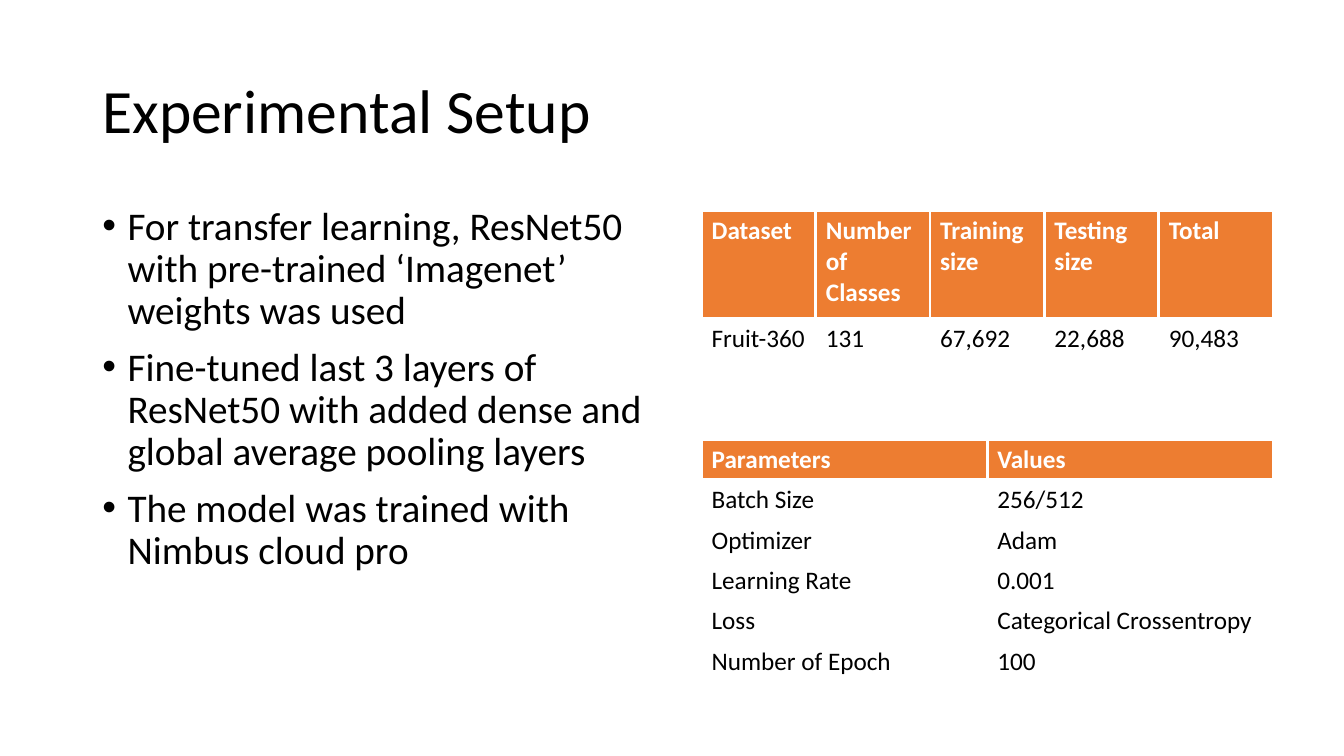
from lxml.etree import SubElement
from pptx import Presentation
from pptx.dml.color import RGBColor
from pptx.enum.text import MSO_ANCHOR
from pptx.oxml.ns import qn
from pptx.util import Cm, Pt

# Content
TITLE = "Experimental Setup"
BULLETS = [
    "For transfer learning, ResNet50 with pre-trained ‘Imagenet’ weights was used",
    "Fine-tuned last 3 layers of ResNet50 with added dense and global average pooling layers",
    "The model was trained with Nimbus cloud pro",
]
DATASET_ROWS = [
    ("Dataset", "Number of Classes", "Training size", "Testing size", "Total"),
    ("Fruit-360", "131", "67,692", "22,688", "90,483"),
]
PARAMETER_ROWS = [
    ("Parameters", "Values"),
    ("Batch Size", "256/512"),
    ("Optimizer", "Adam"),
    ("Learning Rate", "0.001"),
    ("Loss", "Categorical Crossentropy"),
    ("Number of Epoch", "100"),
]

# Style
FONT = "Calibri"
BLACK = RGBColor(0, 0, 0)
WHITE = RGBColor(255, 255, 255)
ORANGE = RGBColor(0xED, 0x7D, 0x31)
TABLE_LEFT, TABLE_WIDTH = 17.68, 14.4
INDENT = Cm(0.635)


def style_font(para, size, color=BLACK, bold=False):
    font = para.font
    font.name, font.size, font.bold = FONT, Pt(size), bold
    font.color.rgb = color


def add_text(slide, lines, left, top, width, height, size):
    frame = slide.shapes.add_textbox(Cm(left), Cm(top), Cm(width), Cm(height)).text_frame
    frame.word_wrap = True
    frame.text = "\n".join(lines)
    for para in frame.paragraphs:
        para.line_spacing = 0.9
        style_font(para, size)
    return frame


def add_bullet(para):
    para.space_before = Pt(10)
    properties = para._p.get_or_add_pPr()
    properties.set("marL", str(INDENT))
    properties.set("indent", str(-INDENT))
    SubElement(properties, qn("a:buFont")).set("typeface", "Arial")
    SubElement(properties, qn("a:buChar")).set("char", "•")
    # The default run font must follow the bullet
    properties.append(properties.find(qn("a:defRPr")))


def add_borders(cell):
    properties = cell._tc.get_or_add_tcPr()
    for index, side in enumerate(("lnL", "lnR", "lnT", "lnB")):
        line = properties.makeelement(qn(f"a:{side}"), {"w": str(Pt(2.25))})
        fill = SubElement(line, qn("a:solidFill"))
        SubElement(fill, qn("a:srgbClr")).set("val", str(WHITE))
        properties.insert(index, line)


def add_grid(slide, rows, top, row_heights):
    columns = len(rows[0])
    table = slide.shapes.add_table(
        len(rows), columns, Cm(TABLE_LEFT), Cm(top), Cm(TABLE_WIDTH), Cm(sum(row_heights))
    ).table
    table.horz_banding = False
    for column in table.columns:
        column.width = Cm(TABLE_WIDTH / columns)
    for row_index, (values, height) in enumerate(zip(rows, row_heights)):
        table.rows[row_index].height = Cm(height)
        header = row_index == 0
        for column_index, value in enumerate(values):
            cell = table.cell(row_index, column_index)
            cell.text = value
            style_font(cell.text_frame.paragraphs[0], 18, WHITE if header else BLACK, header)
            cell.fill.solid()
            cell.fill.fore_color.rgb = ORANGE if header else WHITE
            add_borders(cell)


def main():
    deck = Presentation()
    deck.slide_width, deck.slide_height = Cm(33.87), Cm(19.05)
    slide = deck.slides.add_slide(deck.slide_layouts[6])

    # Title and bullets
    title = add_text(slide, [TITLE], 2.33, 1.01, 29.21, 3.68, 44)
    title.vertical_anchor = MSO_ANCHOR.MIDDLE
    body = add_text(slide, BULLETS, 2.33, 5.07, 14.4, 12.09, 28)
    for para in body.paragraphs:
        add_bullet(para)

    # Dataset and parameter tables
    add_grid(slide, DATASET_ROWS, 5.31, [2.71, 1.9])
    add_grid(slide, PARAMETER_ROWS, 11.07, [1] * len(PARAMETER_ROWS))

    deck.save("out.pptx")


if __name__ == "__main__":
    main()
